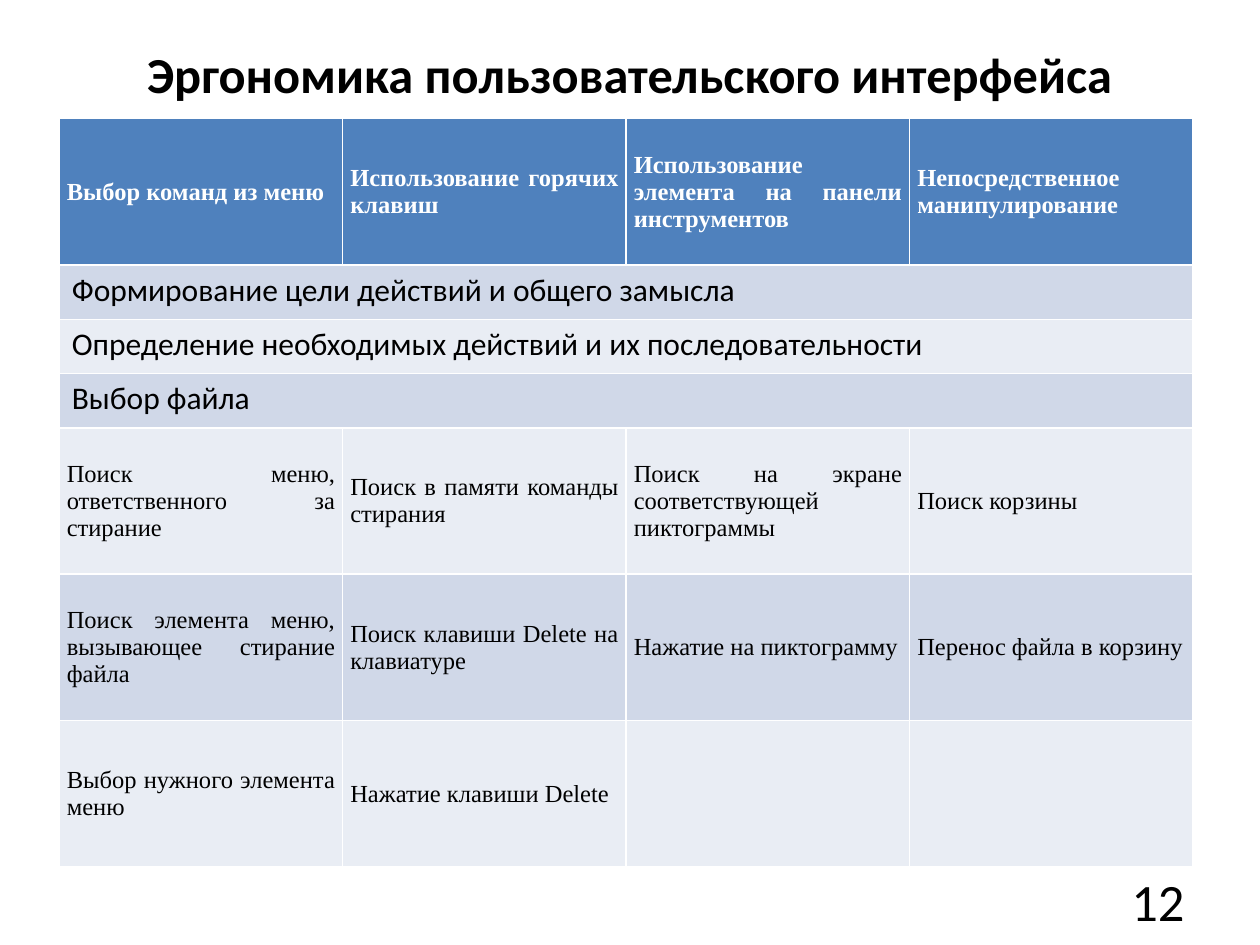
from dataclasses import dataclass

from pptx import Presentation
from pptx.dml.color import RGBColor as RGB
from pptx.enum.text import MSO_ANCHOR as Anchor, PP_ALIGN as Align
from pptx.util import Inches, Pt


@dataclass(frozen=True)
class Theme:
    sans: str = "Calibri"
    serif: str = "Times New Roman"
    ink: RGB = RGB(0, 0, 0)
    white: RGB = RGB(255, 255, 255)
    header: RGB = RGB(0x4F, 0x81, 0xBD)
    bands: tuple = (RGB(0xE9, 0xED, 0xF4), RGB(0xD0, 0xD8, 0xE8))
    title: float = 28.8
    step: int = 18
    cell: int = 14
    number: int = 30


T = Theme()
W, H = Inches(10), Inches(7.5)

HEADER = ["Выбор команд из меню", "Использование горячих клавиш",
          "Использование элемента на панели инструментов",
          "Непосредственное манипулирование"]
ROWS = [
    HEADER,
    ["Формирование цели действий и общего замысла"],
    ["Определение необходимых действий и их последовательности"],
    ["Выбор файла"],
    ["Поиск меню, ответственного за стирание", "Поиск в памяти команды стирания",
     "Поиск на экране соответствующей пиктограммы", "Поиск корзины"],
    ["Поиск элемента меню, вызывающее стирание файла",
     "Поиск клавиши Delete на клавиатуре", "Нажатие на пиктограмму",
     "Перенос файла в корзину"],
    ["Выбор нужного элемента меню", "Нажатие клавиши Delete", "", ""],
]
TALL, SHORT = 1.16, 0.43


def share(x, y, w, h):
    return int(W * x), int(H * y), int(W * w), int(H * h)


def assign(obj, **values):
    for name, value in values.items():
        setattr(obj, name, value)


def write(tf, text, size, font, color=T.ink, bold=False, align=Align.LEFT):
    p = tf.paragraphs[0]
    p.alignment = align
    r = p.add_run()
    r.text = text
    assign(r.font, size=Pt(size), name=font, bold=bold)
    r.font.color.rgb = color


def add_title(s, box, text):
    sp = s.shapes.title
    assign(sp, **dict(zip(("left", "top", "width", "height"), box)))
    assign(sp.text_frame, word_wrap=True, vertical_anchor=Anchor.MIDDLE)
    write(sp.text_frame, text, T.title, T.sans, bold=True, align=Align.CENTER)


def fill_cell(cell, text, header):
    assign(cell, vertical_anchor=Anchor.MIDDLE, margin_left=Inches(0.06),
           margin_right=Inches(0.06), margin_top=0, margin_bottom=0)
    if text:
        write(cell.text_frame, text, T.cell, T.serif,
              T.white if header else T.ink, header, Align.JUSTIFY)


def add_steps_table(s, box, rows):
    cols = len(HEADER)
    table = s.shapes.add_table(len(rows), cols, *box).table
    units = [SHORT if len(row) == 1 else TALL for row in rows]
    for column in table.columns:
        column.width = box[2] // cols
    for i, row in enumerate(rows):
        table.rows[i].height = int(box[3] * units[i] / sum(units))
        for cell in table.rows[i].cells:
            cell.fill.solid()
            cell.fill.fore_color.rgb = T.bands[i % 2] if i else T.header
        if len(row) == 1:
            first = table.cell(i, 0)
            first.merge(table.cell(i, cols - 1))
            write(first.text_frame, row[0], T.step, T.sans)
        else:
            for j, text in enumerate(row):
                fill_cell(table.cell(i, j), text, i == 0)


def add_page_number(s, box, number):
    tf = s.shapes.add_textbox(*box).text_frame
    assign(tf, word_wrap=True, vertical_anchor=Anchor.MIDDLE)
    write(tf, str(number), T.number, T.sans, align=Align.RIGHT)


def main():
    prs = Presentation()
    assign(prs, slide_width=W, slide_height=H)
    s = prs.slides.add_slide(prs.slide_layouts[5])
    add_title(s, share(0.05, 0.04, 0.9, 0.075), "Эргономика пользовательского интерфейса")
    add_steps_table(s, share(0.047, 0.1255, 0.9, 0.792), ROWS)
    add_page_number(s, share(0.717, 0.927, 0.233, 0.053), 12)
    prs.save("out.pptx")


if __name__ == "__main__":
    main()
